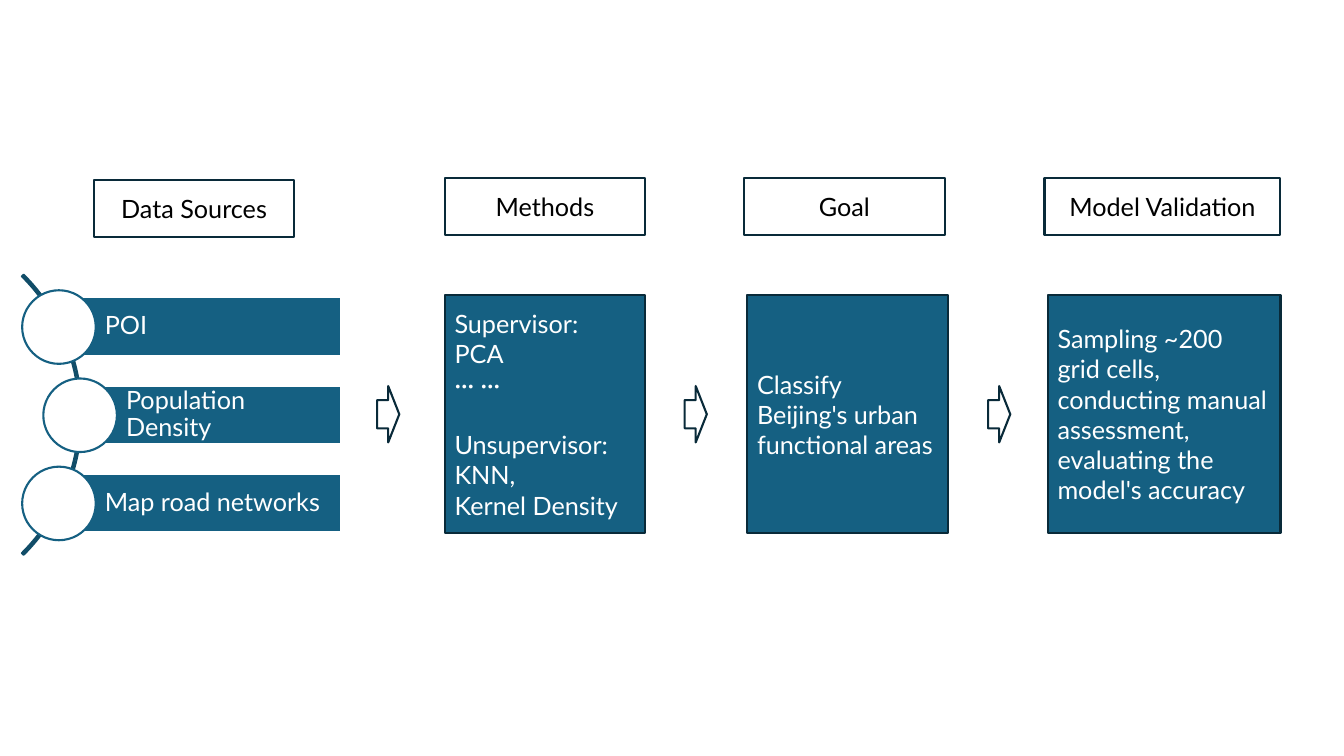
import pptx
import pptx.util
import pptx.dml.color
import pptx.enum.shapes
import pptx.enum.text

Inches = pptx.util.Inches
Pt = pptx.util.Pt
RGBColor = pptx.dml.color.RGBColor
SHAPE = pptx.enum.shapes.MSO_SHAPE
ALIGN = pptx.enum.text.PP_ALIGN

BLUE = RGBColor(0x15, 0x60, 0x82)
ARC_BLUE = RGBColor(0x11, 0x4D, 0x68)
NAVY = RGBColor(0x09, 0x2A, 0x39)
WHITE = RGBColor(0xFF, 0xFF, 0xFF)
BLACK = RGBColor(0x00, 0x00, 0x00)

deck = pptx.Presentation()
deck.slide_width = Inches(13.33)
deck.slide_height = Inches(7.5)
page = deck.slides.add_slide(deck.slide_layouts[6])


def add_box(kind, left, top, width, height, fill, line):
    box = page.shapes.add_shape(
        kind, Inches(left), Inches(top), Inches(width), Inches(height))
    box.shadow.inherit = False
    if fill is None:
        box.fill.background()
    else:
        box.fill.solid()
        box.fill.fore_color.rgb = fill
    box.line.color.rgb = line
    box.line.width = Pt(1.5)
    return box


def write(box, lines, color, frame_format, para_format):
    frame = box.text_frame
    frame_values = {
        "word_wrap": True,
        "vertical_anchor": pptx.enum.text.MSO_ANCHOR.MIDDLE,
        **frame_format,
    }
    for name, value in frame_values.items():
        setattr(frame, name, value)
    for index, line in enumerate(lines):
        para = frame.paragraphs[0] if index == 0 else frame.add_paragraph()
        for name, value in para_format.items():
            setattr(para, name, value)
        span = para.add_run()
        span.text = line
        span.font.color.rgb = color
        for name, value in {"name": "Lato", "size": Pt(18)}.items():
            setattr(span.font, name, value)
    return frame


arc = add_box(SHAPE.BLOCK_ARC, -3.12, 2.15, 3.93, 3.93, None, ARC_BLUE)
for index, value in enumerate((189, 27, 0.006)):
    arc.adjustments[index] = value

source_margins = {
    "margin_left": Inches(0.46),
    "margin_right": Inches(0.05),
    "margin_top": Inches(0.05),
    "margin_bottom": Inches(0.05),
}
sources = [("POI", 0.58), ("Population Density", 0.79), ("Map road networks", 0.58)]
for row, (source, left) in enumerate(sources):
    top = 2.95 + row * 0.875
    bar = add_box(SHAPE.RECTANGLE, left, top, 3.38 - left, 0.58, BLUE, WHITE)
    write(bar, [source], WHITE, source_margins,
          {"alignment": ALIGN.LEFT, "line_spacing": 0.9})
    add_box(SHAPE.OVAL, left - 0.36, top - 0.07, 0.73, 0.73, WHITE, BLUE)

headers = [
    ("Data Sources", 0.93, 1.79, 1.99),
    ("Methods", 4.41, 1.77, 1.99),
    ("Goal", 7.38, 1.77, 1.99),
    ("Model Validation", 10.36, 1.77, 2.34),
]
for header, left, top, width in headers:
    box = add_box(SHAPE.RECTANGLE, left, top, width, 0.56, None, NAVY)
    write(box, [header], BLACK, {}, {"alignment": ALIGN.CENTER})

for left in (3.74, 6.79, 9.8):
    add_box(SHAPE.RIGHT_ARROW, left, 3.83, 0.22, 0.56, None, NAVY)

methods = ["Supervisor:", "PCA", "··· ···", "Unsupervisor:", "KNN,", "Kernel Density"]
panels = [
    (methods, 4.41, 1.99),
    (["Classify Beijing's urban functional areas"], 7.41, 1.99),
    (["Sampling ~200 grid cells, conducting manual assessment, "
      "evaluating the model's accuracy"], 10.39, 2.31),
]
for lines, left, width in panels:
    panel = add_box(SHAPE.RECTANGLE, left, 2.93, width, 2.36, BLUE, NAVY)
    frame = write(panel, lines, WHITE, {}, {"alignment": ALIGN.LEFT})
    if lines is methods:
        frame.paragraphs[methods.index("Unsupervisor:")].space_before = Pt(21.6)

deck.save("out.pptx")
